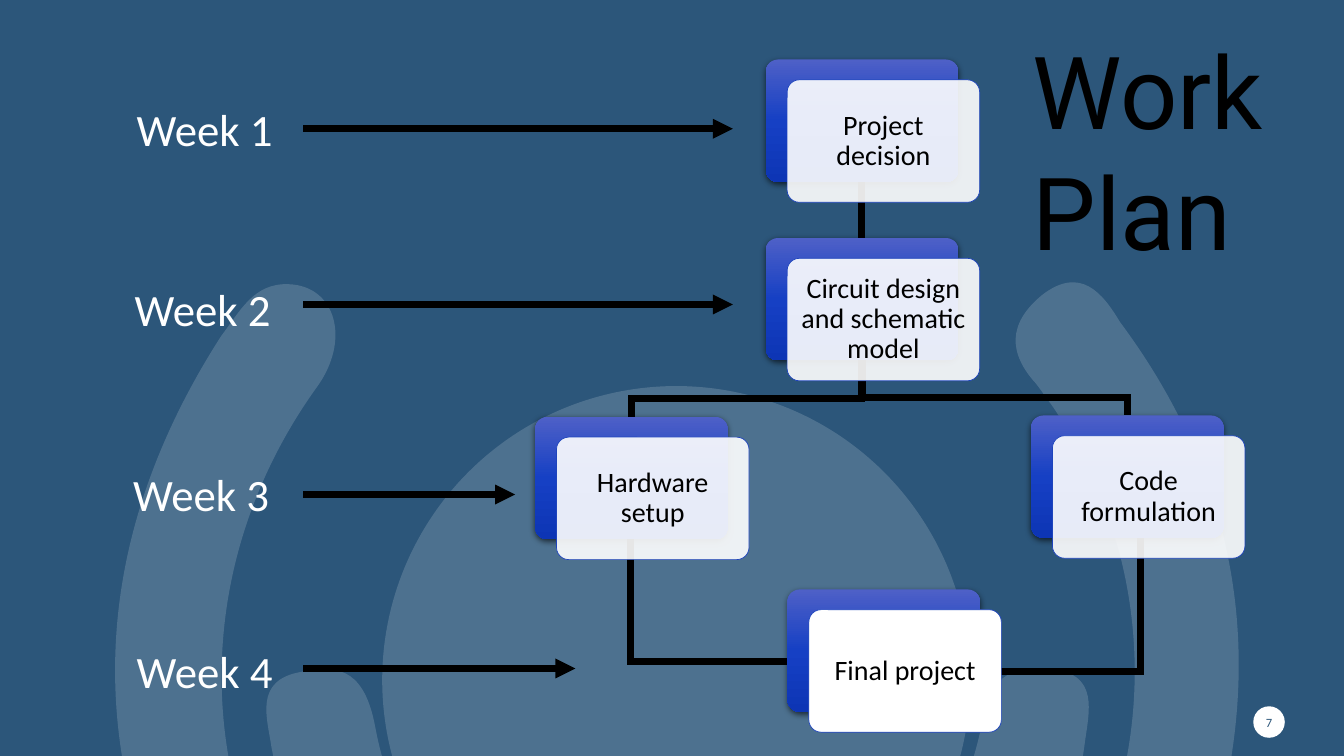
from lxml import etree
from pptx import Presentation
from pptx.dml.color import RGBColor
from pptx.enum.shapes import MSO_CONNECTOR, MSO_SHAPE
from pptx.enum.text import MSO_ANCHOR, PP_ALIGN
from pptx.oxml.ns import qn
from pptx.util import Pt

ELBOW, STRAIGHT = MSO_CONNECTOR.ELBOW, MSO_CONNECTOR.STRAIGHT
OVAL, RECTANGLE, ROUNDED = MSO_SHAPE.OVAL, MSO_SHAPE.RECTANGLE, MSO_SHAPE.ROUNDED_RECTANGLE
MIDDLE, TOP = MSO_ANCHOR.MIDDLE, MSO_ANCHOR.TOP
CENTER, LEFT = PP_ALIGN.CENTER, PP_ALIGN.LEFT

NAVY, WHITE, BLACK, BLUE = "2C567A", "FFFFFF", "000000", "1E44BC"
CARD_GRADIENT = [(0, "4E60C7"), (50, "1640C4"), (100, "0D35B5")]
CARD_WIDTH, CARD_HEIGHT = 137.5, 87.5
FRONT_X, FRONT_Y = 15.25, 14.5
CARDS = [
    ("Project decision", 165, 0, 90),
    ("Circuit design and schematic model", 165, 127.5, 90),
    ("Hardware setup", 0.25, 255.25, 90),
    ("Code formulation", 354.5, 254.25, 90),
    ("Final project", 180.5, 378.5, 100),
]
WEEKS = [
    ("Week 1", 2.5, 0, 23, 435.5),
    ("Week 2", 1, 129, 148.5, 435.5),
    ("Week 3", 0, 261, 284.25, 280),
    ("Week 4", 2.5, 387.5, 408.5, 323),
]
OUTER_ARC = [
    (461, 891),
    (326, 883), (203, 814), (130, 670), (56, 522), (70, 377), (158, 240),
    (171, 223), (181, 202), (206, 203), (240, 204), (251, 243), (226, 277),
    (117, 429), (142, 630), (284, 744), (410, 844), (591, 834), (706, 723),
    (826, 608), (845, 426), (751, 289), (747, 284), (744, 279), (740, 274),
    (720, 252), (720, 231), (744, 211), (772, 189), (788, 210), (800, 230),
    (879, 336), (904, 456), (870, 586), (824, 767), (665, 889), (461, 891),
]
INNER_ARC = [
    (485, 781),
    (340, 781), (222, 680), (194, 534), (191, 513), (181, 486), (215, 480),
    (245, 473), (261, 482), (268, 519), (289, 632), (379, 707), (485, 706),
    (591, 706), (680, 629), (702, 514), (708, 481), (725, 475), (752, 478),
    (785, 482), (778, 508), (775, 530), (757, 671), (631, 781), (485, 781),
]


def color(value):
    return RGBColor.from_string(value)


def add_child(parent, tag, **attributes):
    child = etree.SubElement(parent, qn(tag))
    for name, value in attributes.items():
        child.set(name, str(value))
    return child


def set_fill(shape, value, opacity=100):
    shape.shadow.inherit = False
    shape.line.fill.background()
    shape.fill.solid()
    shape.fill.fore_color.rgb = color(value)
    if opacity < 100:
        fill = shape.element.spPr.find(qn("a:solidFill"))
        add_child(fill[0], "a:alpha", val=opacity * 1000)


def set_line(shape, value, width):
    shape.line.fill.solid()
    shape.line.fill.fore_color.rgb = color(value)
    shape.line.width = Pt(width)
    add_child(shape.element.spPr.find(qn("a:ln")), "a:miter", lim=800000)


def set_text(shape, text, size, value, font="Calibri", align=LEFT, anchor=TOP, wrap=True):
    frame = shape.text_frame
    frame.word_wrap = wrap
    frame.vertical_anchor = anchor
    paragraph = frame.paragraphs[0]
    paragraph.text = text
    paragraph.alignment = align
    paragraph.font.size = Pt(size)
    paragraph.font.name = font
    paragraph.font.color.rgb = color(value)
    return frame


def set_margins(frame, margin):
    frame.margin_left = frame.margin_right = Pt(margin)
    frame.margin_top = frame.margin_bottom = Pt(margin)


def add_shape(slide, kind, left, top, width, height):
    return slide.shapes.add_shape(kind, Pt(left), Pt(top), Pt(width), Pt(height))


def add_outline(slide, left, top, points, close=False):
    points = [(Pt(left + x), Pt(top + y)) for x, y in points]
    builder = slide.shapes.build_freeform(*points[0])
    builder.add_line_segments(points[1:], close=close)
    return builder.convert_to_shape()


def add_curve(slide, left, top, points):
    outline = add_outline(slide, left, top, points, True)
    segments = list(outline.element.spPr.iter(qn("a:lnTo")))
    for index in range(0, len(points) - 1, 3):
        first, second, third = segments[index:index + 3]
        first.tag = qn("a:cubicBezTo")
        for segment in (second, third):
            first.append(segment[0])
            segment.getparent().remove(segment)
    return outline


def add_track(slide, left, top, points):
    track = add_outline(slide, left, top, points)
    track.shadow.inherit = False
    track.fill.background()
    set_line(track, BLACK, 5)


def add_line(slide, kind, start, end, width):
    connector = slide.shapes.add_connector(
        kind, Pt(start[0]), Pt(start[1]), Pt(end[0]), Pt(end[1]))
    set_line(connector, BLACK, width)
    add_child(connector.element.spPr, "a:effectLst")
    return connector


def add_backdrop(slide, left, top, width, height):
    set_fill(add_shape(slide, RECTANGLE, left, top, width, height), NAVY)
    set_fill(add_shape(slide, OVAL, left + 273, top + 275.75, 420, 420), WHITE, 16)
    for arc in (OUTER_ARC, INNER_ARC):
        set_fill(add_curve(slide, left, top, arc), WHITE, 16)


def add_page_number(slide, left, top, size):
    badge = add_shape(slide, OVAL, left, top, size, size)
    set_fill(badge, WHITE)
    set_margins(set_text(badge, "7", 9, NAVY, align=CENTER, anchor=MIDDLE, wrap=False), 0)


def add_card(slide, left, top, text, opacity):
    back = add_shape(slide, ROUNDED, left, top, CARD_WIDTH, CARD_HEIGHT)
    set_fill(back, BLUE)
    back.fill.gradient()
    back.fill.gradient_angle = 270
    properties = back.element.spPr
    stops = properties.find(qn("a:gradFill")).find(qn("a:gsLst"))
    for stop in list(stops):
        stops.remove(stop)
    for position, value in CARD_GRADIENT:
        add_child(add_child(stops, "a:gs", pos=position * 1000), "a:srgbClr", val=value)
    shadow = add_child(properties.find(qn("a:effectLst")), "a:outerShdw",
                       blurRad=Pt(4.5), dist=Pt(1.5), dir=5400000, rotWithShape=0)
    add_child(add_child(shadow, "a:srgbClr", val=BLACK), "a:alpha", val=63000)

    front = add_shape(slide, ROUNDED, left + FRONT_X, top + FRONT_Y, CARD_WIDTH, CARD_HEIGHT)
    set_fill(front, WHITE, opacity)
    set_line(front, BLUE, 0.5)
    frame = set_text(front, text, 20, BLACK, align=CENTER, anchor=MIDDLE)
    frame.paragraphs[0].line_spacing = 0.9
    set_margins(frame, 6)
    for shape in (back, front):
        shape.adjustments[0] = 0.1


def add_flow(slide, left, top):
    bend = add_line(slide, ELBOW, (left + 66, top + 327.5), (left + 180.5, top + 430), 5)
    guides = bend.element.spPr.find(qn("a:prstGeom")).find(qn("a:avLst"))
    add_child(guides, "a:gd", name="adj1", fmla="val 2300")

    middle_x, middle_y, half = left + 381.75, top + 385.75, 51.25
    corner = add_line(slide, ELBOW, (middle_x - half, middle_y - half),
                      (middle_x + half, middle_y + half), 5)
    corner.element.spPr.find(qn("a:prstGeom")).set("prst", "bentConnector2")
    corner.element.spPr.find(qn("a:xfrm")).set("rot", "5400000")

    trunk = 165 + CARD_WIDTH / 2
    for x, bend_y, end_y in ((423.25, 241.5, 254.25), (69, 242.5, 255.25)):
        add_track(slide, left, top, [(trunk, 214.5), (trunk, bend_y), (x, bend_y), (x, end_y)])
    add_track(slide, left, top, [(trunk, 87), (trunk, 127.5)])
    for text, x, y, opacity in CARDS:
        add_card(slide, left + x, top + y, text, opacity)


def add_schedule(slide, left, top):
    for text, x, y, arrow_y, arrow_end in WEEKS:
        label = slide.shapes.add_textbox(Pt(left + x), Pt(top + y), Pt(112), Pt(46))
        set_text(label, text, 32, WHITE, wrap=False)
        arrow = add_line(slide, STRAIGHT, (left + 128.5, top + arrow_y),
                         (left + arrow_end, top + arrow_y), 4.75)
        add_child(arrow.element.spPr.find(qn("a:ln")), "a:tailEnd", type="triangle")


def add_title(slide, left, top, width, height):
    title = slide.shapes.add_textbox(Pt(left), Pt(top), Pt(width), Pt(height))
    set_text(title, "Work Plan", 72, BLACK, font="Roboto")


def main():
    presentation = Presentation()
    presentation.slide_width, presentation.slide_height = Pt(960), Pt(540)
    slide = presentation.slides.add_slide(presentation.slide_layouts[6])
    add_backdrop(slide, 0, 0, 960, 540)
    add_page_number(slide, 895.25, 504.5, 22.5)
    add_flow(slide, 382, 42.5)
    add_schedule(slide, 88, 69)
    add_title(slide, 730.5, 17, 237.5, 181.5)
    presentation.save("out.pptx")


if __name__ == "__main__":
    main()
